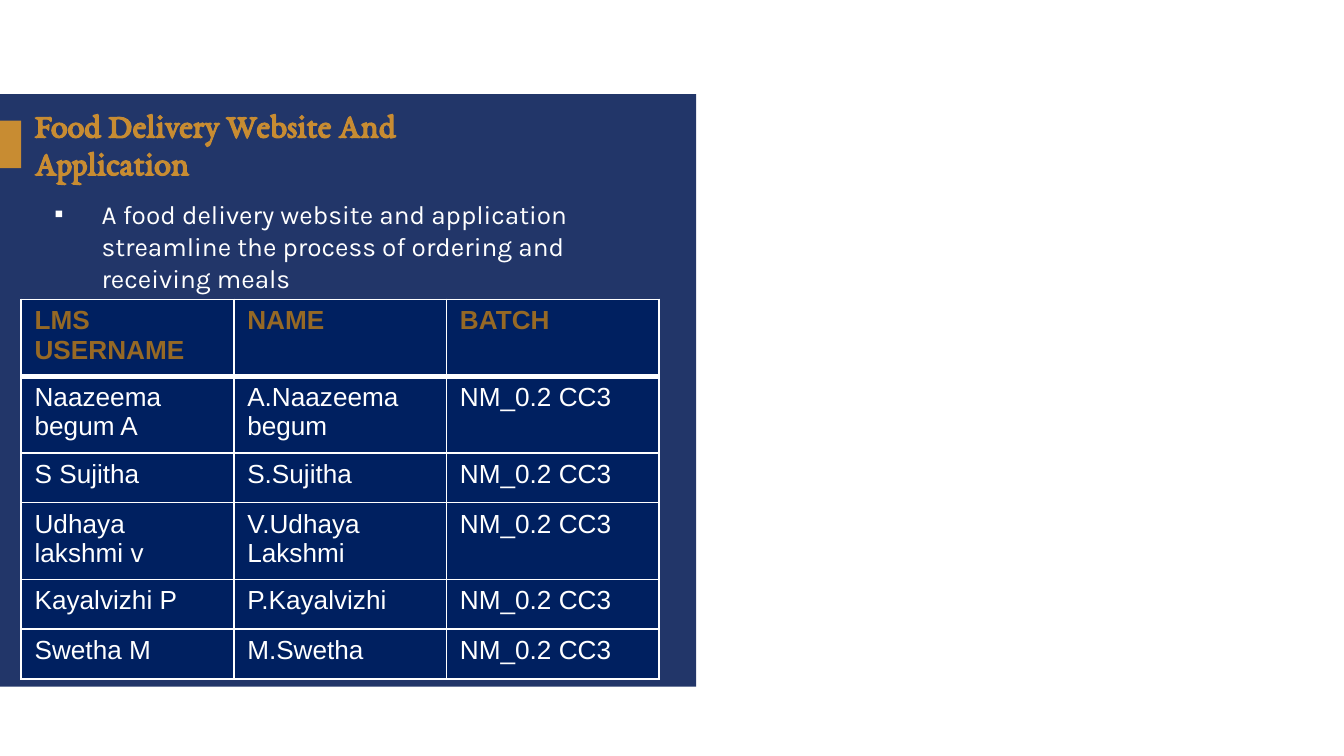
from lxml.etree import SubElement
from pptx import Presentation
from pptx.dml.color import RGBColor
from pptx.enum.shapes import MSO_SHAPE as Shape
from pptx.enum.text import MSO_ANCHOR as Anchor, MSO_AUTO_SIZE as AutoSize, PP_ALIGN as Align
from pptx.oxml.ns import qn
from pptx.util import Cm, Pt

WHITE, GOLD, BROWN = "FFFFFF", "C88C32", "966925"
PANEL, NAVY = "223669", "002060"
BATCH = "NM_0.2 CC3"
HEADINGS = ("LMS USERNAME", "NAME", "BATCH")
STUDENTS = (
    ("Naazeema begum A", "A.Naazeema begum"),
    ("S Sujitha", "S.Sujitha"),
    ("Udhaya lakshmi v", "V.Udhaya Lakshmi"),
    ("Kayalvizhi P", "P.Kayalvizhi"),
    ("Swetha M", "M.Swetha"),
)
ROW_HEIGHTS = (1.45, 1.45, 0.94, 1.45, 0.94, 0.94)
COLUMN_WIDTH = 4.02


def color(value):
    return RGBColor.from_string(value)


def paint(target, value):
    target.fill.solid()
    target.fill.fore_color.rgb = color(value)


def add_span(para, text, font, size, value, bold=False):
    span = para.add_run()
    span.text = text
    span.font.name = font
    span.font.size = Pt(size)
    span.font.bold = bold
    span.font.color.rgb = color(value)


def add_block(page, left, top, width, height, value):
    block = page.shapes.add_shape(Shape.RECTANGLE, Cm(left), Cm(top), Cm(width), Cm(height))
    block.shadow.inherit = False
    block.line.fill.background()
    paint(block, value)


def set_title(page, text):
    title = page.shapes.title
    title.left, title.top, title.width, title.height = Cm(0.4), Cm(2.26), Cm(9.5), Cm(0.97)
    frame = title.text_frame
    frame.word_wrap = True
    frame.auto_size = AutoSize.NONE
    frame.vertical_anchor = Anchor.MIDDLE
    para = frame.paragraphs[0]
    para.alignment = Align.LEFT
    para.line_spacing = 0.92
    add_span(para, text, "EB Garamond", 18.3, GOLD, True)


def add_bullet(para, symbol, value):
    props = para._p.get_or_add_pPr()
    props.set("marL", str(Cm(1.27)))
    props.set("indent", str(-Cm(0.89)))
    tint = SubElement(props, qn("a:buClr"))
    SubElement(tint, qn("a:srgbClr"), val=value)
    SubElement(props, qn("a:buFont"), typeface="Arial")
    SubElement(props, qn("a:buChar"), char=symbol)


def add_summary(page, text):
    box = page.shapes.add_textbox(Cm(0.4), Cm(3.6), Cm(12.06), Cm(8.43))
    box.text_frame.word_wrap = True
    para = box.text_frame.paragraphs[0]
    add_bullet(para, "▪", WHITE)
    para.line_spacing = 1.03
    add_span(para, text, "Karla", 14, WHITE)


def set_borders(cell, widths):
    props = cell._tc.get_or_add_tcPr()
    for side, width in widths.items():
        border = SubElement(props, qn(f"a:ln{side}"), w=str(Pt(width)))
        fill = SubElement(border, qn("a:solidFill"))
        SubElement(fill, qn("a:srgbClr"), val=WHITE)


def fill_cell(cell, text, row):
    top = 3 if row == 1 else 1
    bottom = 3 if row == 0 else 1
    set_borders(cell, {"L": 1, "R": 1, "T": top, "B": bottom})
    paint(cell, NAVY)
    heading = row == 0
    para = cell.text_frame.paragraphs[0]
    add_span(para, text, "Arial", 14, BROWN if heading else WHITE, heading)


def add_student_table(page):
    rows = [HEADINGS] + [(*student, BATCH) for student in STUDENTS]
    frame = page.shapes.add_table(len(rows), len(HEADINGS), Cm(0.4), Cm(5.66),
                                  Cm(COLUMN_WIDTH * len(HEADINGS)), Cm(sum(ROW_HEIGHTS)))
    table = frame.table
    for column in table.columns:
        column.width = Cm(COLUMN_WIDTH)
    for row, (texts, height) in enumerate(zip(rows, ROW_HEIGHTS)):
        table.rows[row].height = Cm(height)
        for column, text in enumerate(texts):
            fill_cell(table.cell(row, column), text, row)


def main():
    deck = Presentation()
    deck.slide_width, deck.slide_height = Cm(25.4), Cm(14.29)
    page = deck.slides.add_slide(deck.slide_layouts.get_by_name("Title Only"))
    add_block(page, 0, 1.78, 13.16, 11.2, PANEL)
    add_block(page, 0, 2.28, 0.4, 0.9, GOLD)
    title = page.shapes.title
    page.shapes._spTree.append(title._element)
    set_title(page, "Food Delivery Website And Application")
    add_summary(page, "A food delivery website and application streamline "
                      "the process of ordering and receiving meals")
    add_student_table(page)
    deck.save("out.pptx")


if __name__ == "__main__":
    main()
